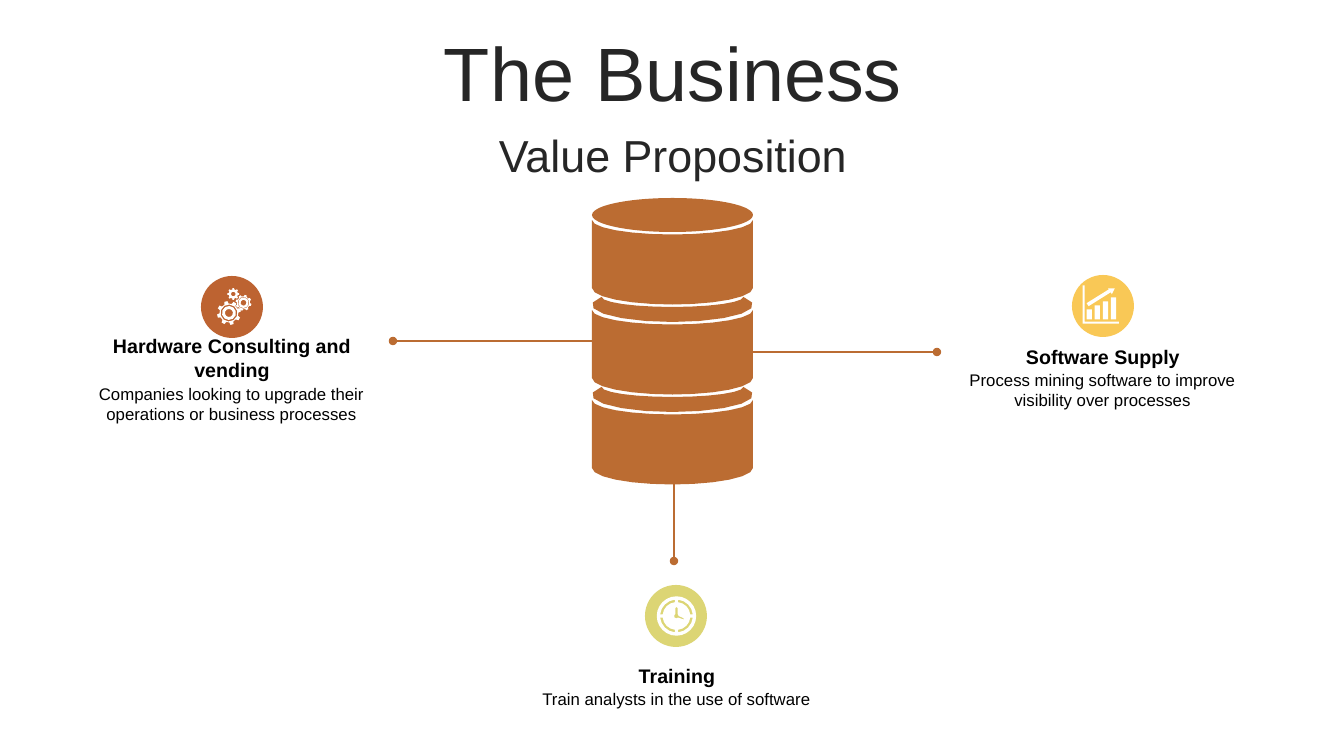
from math import cos, pi, radians, sin

from pptx import Presentation
from pptx import util as u
from pptx.dml.color import RGBColor
from pptx.enum import shapes, text
from pptx.oxml.ns import qn
from lxml import etree

EMU_PER_INCH, PX_PER_INCH = 914400, 100.8
COLORS = {"copper": "BB6C32", "rust": "BD6331", "yellow": "F9C856", "lime": "DCD574",
          "white": "FFFFFF", "title": "262626", "body": "000000"}


def px(n):
    return u.Emu(round(n * EMU_PER_INCH / PX_PER_INCH))


def rgb(name):
    return RGBColor.from_string(COLORS[name])


def paint(sp, color):
    sp.shadow.inherit = False
    sp.fill.solid()
    sp.fill.fore_color.rgb = rgb(color)
    sp.line.fill.background()
    return sp


def add_ellipse(s, x, y, w, h, color):
    return paint(s.shapes.add_shape(shapes.MSO_SHAPE.OVAL, px(x), px(y), px(w), px(h)), color)


def add_outline(s, contours, color):
    """Draw closed contours as one shape; a contour inside another cuts a hole."""
    builder = None
    for contour in contours:
        first, *rest = [(px(x), px(y)) for x, y in contour]
        if builder is None:
            builder = s.shapes.build_freeform(*first, scale=1.0)
        else:
            builder.move_to(*first)
        builder.add_line_segments(rest, close=True)
    return paint(builder.convert_to_shape(), color)


def add_text(s, x, y, w, h, words, size, color="body", bold=False,
             anchor=text.MSO_ANCHOR.TOP, spacing=None, grow=True):
    tf = s.shapes.add_textbox(px(x), px(y), px(w), px(h)).text_frame
    tf.word_wrap = True
    tf.vertical_anchor = anchor
    tf.auto_size = text.MSO_AUTO_SIZE.SHAPE_TO_FIT_TEXT if grow else text.MSO_AUTO_SIZE.NONE
    p = tf.paragraphs[0]
    p.alignment = text.PP_ALIGN.CENTER
    if spacing:
        p.line_spacing = spacing
    r = p.add_run()
    r.text = words
    r.font.name, r.font.size, r.font.bold = "Arial", u.Pt(size), bold
    r.font.color.rgb = rgb(color)


def add_pointer(s, x1, y1, x2, y2):
    """Draw a line that ends in a dot."""
    cxn = s.shapes.add_connector(shapes.MSO_CONNECTOR.STRAIGHT, px(x1), px(y1), px(x2), px(y2))
    cxn.line.color.rgb = rgb("copper")
    cxn.line.width = u.Pt(2)
    sp_pr = cxn._element.spPr
    etree.SubElement(sp_pr.find(qn("a:ln")), qn("a:tailEnd"), type="oval")
    etree.SubElement(sp_pr, qn("a:effectLst"))


def arc(cx, cy, rx, ry, start, end, steps=12):
    angles = [radians(start + (end - start) * i / steps) for i in range(steps + 1)]
    return [(cx + rx * cos(a), cy + ry * sin(a)) for a in angles]


def circle(cx, cy, r, steps=10):
    return arc(cx, cy, r, r, 0, 360, steps)[:-1]


def rect(x, y, w, h):
    return [(x, y), (x + w, y), (x + w, y + h), (x, y + h)]


def gear(cx, cy, tip, root, turn, holes, teeth=8):
    outline = []
    for i in range(teeth):
        for shift, r in ((-0.29, root), (-0.17, tip), (0.17, tip), (0.29, root)):
            a = 2 * pi * (i + shift) / teeth + radians(turn)
            outline.append((cx + r * cos(a), cy + r * sin(a)))
    return [outline] + [circle(cx, cy, r) for r in holes]


def add_cylinder(s, cx=672.5, top=198, rx=80.5, ry=17, step=90):
    for i in range(3):
        y = top + i * step
        body = arc(cx, y + 22, rx, 14.5, 180, 0) + arc(cx, y + 90, rx, 16.5, 0, 180)
        add_outline(s, [body], "copper")
        if i == 0:
            add_ellipse(s, cx - rx, y, 2 * rx, 2 * ry, "copper")
        else:
            lip = arc(cx, y + ry, rx, ry, -28, 208) + arc(cx, y + 9, rx * 0.88, 10, 180, 0)
            add_outline(s, [lip], "copper")


def add_gears_icon(s):
    contours = (gear(227.3, 311.5, 12, 9.4, 0, (8.5, 7, 4))
                + gear(244, 305.4, 8, 6.5, -14, (5.9, 5.2, 2.9))
                + gear(236.4, 294.3, 5.9, 4.6, 15, (2.3,)))
    add_outline(s, contours, "white").rotation = 345


def add_chart_icon(s):
    bars = [rect(1086.6 + 8.1 * i, 309.5 - 4 * i, 5.3, 10 + 4 * i) for i in range(4)]
    arrow = [(1108, 288.3), (1114.8, 288.3), (1111.8, 294.3), (1110.8, 292.3),
             (1088.6, 306.2), (1086.6, 303.2), (1108.8, 289.4)]
    axes = [(1082.6, 285.3), (1084.6, 285.3), (1084.6, 321.6), (1119, 321.6),
            (1119, 323.6), (1082.6, 323.6)]
    add_outline(s, bars + [arrow, axes], "white")


def add_clock_icon(s, cx=676.5, cy=616):
    ring = [arc(cx, cy, 16.4, 16.4, a + 6, a + 84, 4) + arc(cx, cy, 13.9, 13.9, a + 84, a + 6, 4)
            for a in range(0, 360, 90)]
    hands = [(-1.2, -8), (0, -9), (1.2, -8), (1.2, -2), (2.2, 0), (6.8, 2), (7.6, 3.6),
             (1.6, 1.6), (0, 2.4), (-2, 1.4), (-2, -1), (-1.2, -2)]
    face = circle(cx, cy, 19.7, 24)
    add_outline(s, [face, *ring, [(cx + x, cy + y) for x, y in hands]], "white")


def main():
    prs = Presentation()
    prs.slide_width, prs.slide_height = px(1344), px(756)
    s = prs.slides.add_slide(prs.slide_layouts[6])

    middle = text.MSO_ANCHOR.MIDDLE
    for y, words, size in ((37, "The Business", 54), (118, "Value Proposition", 32)):
        add_text(s, 35, y, 1276, 80, words, size, "title", anchor=middle, spacing=0.9, grow=False)

    add_cylinder(s)
    for ends in ((592, 341, 393, 341), (674, 448, 674, 561), (753, 352, 937, 352)):
        add_pointer(s, *ends)

    offers = (
        (86, 329, 57, 379, 50, "Hardware Consulting and vending",
         "Companies looking to upgrade their operations or business processes",
         201, 276, "rust", add_gears_icon),
        (957, 340, 34, 365, 50, "Software Supply",
         "Process mining software to improve visibility over processes",
         1072, 275, "yellow", add_chart_icon),
        (531, 659, 34, 684, 30, "Training", "Train analysts in the use of software",
         645, 585, "lime", add_clock_icon),
    )
    for x, head_y, head_h, body_y, body_h, head, body, icon_x, icon_y, color, add_icon in offers:
        add_text(s, x, head_y, 292, head_h, head, 14, bold=True, anchor=middle)
        add_text(s, x, body_y, 291, body_h, body, 12)
        add_ellipse(s, icon_x, icon_y, 62, 62, color)
        add_icon(s)

    prs.save("out.pptx")


if __name__ == "__main__":
    main()
